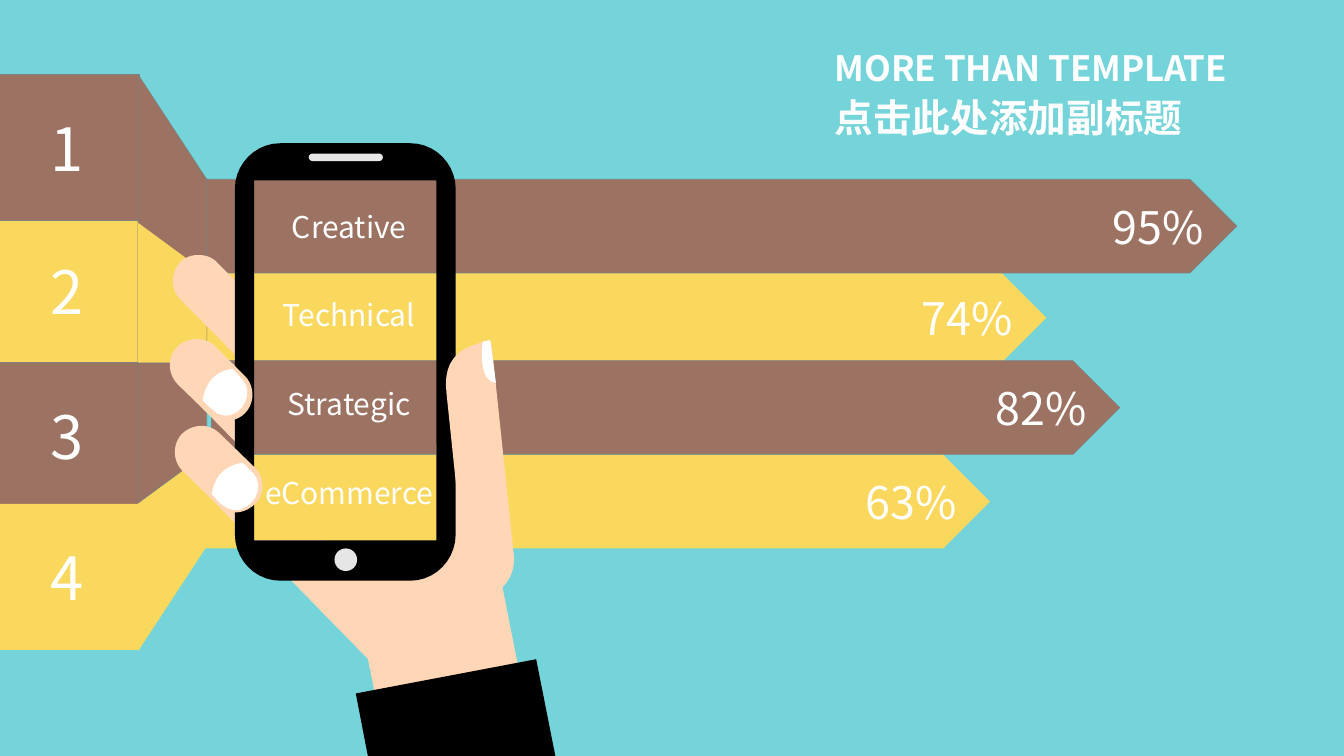
from typing import NamedTuple

from lxml.etree import SubElement
from pptx import Presentation
from pptx.dml.color import RGBColor
from pptx.enum.shapes import MSO_SHAPE
from pptx.enum.text import MSO_ANCHOR, MSO_AUTO_SIZE, PP_ALIGN
from pptx.oxml.ns import qn
from pptx.util import Cm, Pt

TEAL = RGBColor(0x74, 0xD4, 0xD9)
BROWN = RGBColor(0x9C, 0x72, 0x63)
YELLOW = RGBColor(0xFA, 0xD8, 0x5D)
GRAY = RGBColor(0x80, 0x80, 0x80)
SKIN = RGBColor(0xFF, 0xD7, 0xB7)
BLACK = RGBColor(0x00, 0x00, 0x00)
SILVER = RGBColor(0xE6, 0xE6, 0xE6)
WHITE = RGBColor(0xFF, 0xFF, 0xFF)
FONT = "Noto Sans CJK SC"
UNIT = 0.0254
CURVE_STEPS = 10


class Box(NamedTuple):
    left: float
    top: float
    width: float
    height: float

    def lengths(self):
        return [Cm(side) for side in self]


def paint(shape, color):
    shape.shadow.inherit = False
    shape.fill.solid()
    shape.fill.fore_color.rgb = color
    if color == BROWN:
        shape.line.color.rgb = GRAY
        shape.line.width = Pt(0.5)
    else:
        shape.line.fill.background()


def write(paragraph, words, size, align, spacing=None, bold=False):
    paragraph.alignment = align
    paragraph.line_spacing = spacing
    run = paragraph.add_run()
    run.text = words
    run.font.size = Pt(size)
    run.font.bold = bold
    run.font.name = FONT
    run.font.color.rgb = WHITE
    SubElement(run.font._element, qn("a:ea")).set("typeface", FONT)


def add_block(slide, kind, box, color, words=None, size=None, align=None):
    block = slide.shapes.add_shape(kind, *box.lengths())
    paint(block, color)
    if words:
        block.text_frame.vertical_anchor = MSO_ANCHOR.MIDDLE
        write(block.text_frame.paragraphs[0], words, size, align)


def trace(contour):
    points = [contour[0]]
    for step in contour[1:]:
        if len(step) == 2:
            points.append(step)
            continue
        start = points[-1]
        first, second, end = step[:2], step[2:4], step[4:]
        for index in range(1, CURVE_STEPS + 1):
            t = index / CURVE_STEPS
            s = 1 - t
            points.append(tuple(
                s**3 * a + 3 * s * s * t * b + 3 * s * t * t * c + t**3 * d
                for a, b, c, d in zip(start, first, second, end)))
    return [(Cm(x * UNIT), Cm(y * UNIT)) for x, y in points]


def add_outline(slide, box, color, *contours):
    traced = [trace(contour) for contour in contours]
    builder = slide.shapes.build_freeform(*traced[0][0], scale=1.0)
    builder.add_line_segments(traced[0][1:], close=True)
    for points in traced[1:]:
        builder.move_to(*points[0])
        builder.add_line_segments(points[1:], close=True)
    paint(builder.convert_to_shape(Cm(box.left), Cm(box.top)), color)


def add_title(slide, box):
    title = slide.shapes.title
    title.left, title.top, title.width, title.height = box.lengths()
    frame = title.text_frame
    frame.word_wrap = True
    frame.vertical_anchor = MSO_ANCHOR.MIDDLE
    frame.auto_size = MSO_AUTO_SIZE.SHAPE_TO_FIT_TEXT
    write(frame.paragraphs[0], "MORE THAN TEMPLATE", 24.9, PP_ALIGN.LEFT, 1.1, True)
    write(frame.add_paragraph(), "点击此处添加副标题", 27.6, PP_ALIGN.LEFT, 1.1, True)


def add_bars(slide, box):
    for share, indent, drop, width, color in (
        ("74%", 0, 2.31, 21.21, YELLOW),
        ("82%", 0.17, 4.57, 22.89, BROWN),
        ("63%", 0, 6.94, 19.79, YELLOW),
        ("95%", 0, 0, box.width, BROWN),
    ):
        bar = Box(box.left + indent, box.top + drop, width, 2.36)
        add_block(slide, MSO_SHAPE.PENTAGON, bar, color, share, 32, PP_ALIGN.RIGHT)


def add_skills(slide, box):
    for row, skill in enumerate(("Creative", "Technical", "Strategic", "eCommerce")):
        place = Box(box.left, box.top + row * box.height / 4, box.width, 1.04)
        frame = slide.shapes.add_textbox(*place.lengths()).text_frame
        frame.word_wrap = True
        frame.auto_size = MSO_AUTO_SIZE.SHAPE_TO_FIT_TEXT
        frame.margin_left = frame.margin_right = Cm(0)
        write(frame.paragraphs[0], skill, 21.4, PP_ALIGN.CENTER, 0.85)


def add_tabs(slide, box):
    for number, drop, color in (
        ("2", 3.61, YELLOW), ("1", 0, BROWN), ("3", 7.26, BROWN), ("4", 10.82, YELLOW),
    ):
        tab = Box(box.left, box.top + drop, box.width, 3.68)
        add_block(slide, MSO_SHAPE.RECTANGLE, tab, color, number, 42.6, PP_ALIGN.CENTER)


def add_funnel(slide, box):
    middle = box.height / 2 / UNIT
    right = box.width / UNIT
    for side, near, far, color in (
        (-1, 182, 286, BROWN), (-1, 89, 139, YELLOW),
        (1, 182, 286, YELLOW), (1, 89, 139, BROWN),
    ):
        add_outline(slide, box, color, [
            (right, middle + side * near), (0, middle + side * far),
            (0, middle), (right, middle)])


def add_palm(slide, box):
    add_outline(
        slide, box, SKIN,
        [(338, 544), (410, 544), (416, 550), (427, 560, 427, 576, 417, 586),
         (407, 597, 390, 597, 380, 586), (343, 549)],
        [(214, 356), (221, 356, 228, 358, 233, 363), (248, 379), (251, 382),
         (251, 456), (243, 448), (197, 401), (186, 390, 186, 374, 196, 363),
         (201, 358, 208, 356, 214, 356)])
    add_outline(slide, box, SKIN, [
        (469, 433), (522, 701), (380, 729), (358, 618), (302, 537),
        (432, 537), (433, 536), (433, 440)])
    add_outline(slide, box, SKIN, [
        (217, 439), (223, 439, 230, 442, 235, 447), (251, 463), (252, 464),
        (252, 536), (323, 536), (420, 633), (429, 644, 429, 660, 420, 671),
        (409, 680, 393, 681, 382, 671), (199, 484),
        (188, 473, 188, 457, 199, 447), (203, 442, 210, 439, 217, 439)])
    add_outline(slide, box, SKIN, [
        (197, 253), (204, 253, 210, 255, 215, 260), (252, 297), (252, 371),
        (250, 369), (179, 297), (169, 287, 169, 271, 179, 260),
        (184, 255, 190, 253, 197, 253)])


def add_phone(slide, box):
    add_outline(
        slide, box, BLACK,
        [(19, 37), (19, 394), (200, 394), (200, 37)],
        [(45, 0), (174, 0), (199, 0, 219, 21, 219, 45), (219, 388),
         (219, 413, 199, 434, 174, 434), (45, 434),
         (20, 434, 0, 413, 0, 388), (0, 45), (0, 21, 20, 0, 45, 0)])
    earpiece = Box(box.left + 1.86, box.top + 0.26, 1.87, 0.19)
    home_button = Box(box.left + 2.51, box.top + 10.21, 0.57, 0.57)
    add_block(slide, MSO_SHAPE.ROUNDED_RECTANGLE, earpiece, SILVER)
    slide.shapes[-1].adjustments[0] = 0.5
    add_block(slide, MSO_SHAPE.OVAL, home_button, SILVER)


def add_fingers(slide, box):
    for color, contour in (
        (SKIN, [(181, 430), (171, 440, 171, 457, 181, 467), (216, 501),
                (226, 511, 242, 511, 253, 500), (263, 491, 263, 474, 253, 464),
                (218, 430), (208, 420, 192, 420, 181, 430)]),
        (SKIN, [(176, 344), (166, 354, 166, 370, 176, 381), (206, 410),
                (216, 420, 233, 420, 243, 410), (253, 400, 253, 383, 243, 373),
                (213, 343), (203, 334, 186, 334, 176, 344)]),
        (BLACK, [(532, 654), (353, 688), (365, 750), (551, 750)]),
        (SKIN, [(483, 591), (465, 595), (462, 572), (443, 390),
                (439, 359, 455, 346, 474, 341), (484, 337, 487, 335, 488, 344),
                (510, 553), (511, 571, 499, 588, 483, 591)]),
        (WHITE, [(239, 375), (231, 366), (213, 368, 204, 380, 201, 397),
                 (209, 405), (231, 428, 258, 392, 239, 375)]),
        (WHITE, [(479, 339), (485, 338, 487, 335, 487, 342), (492, 380),
                 (477, 378, 477, 354, 479, 339)]),
        (WHITE, [(250, 468), (241, 459), (222, 462, 213, 473, 210, 490),
                 (218, 499), (241, 521, 269, 486, 250, 468)]),
    ):
        add_outline(slide, box, color, contour)


def main():
    deck = Presentation()
    deck.slide_width, deck.slide_height = Cm(33.87), Cm(19.05)
    slide = deck.slides.add_slide(deck.slide_layouts[5])
    slide.background.fill.solid()
    slide.background.fill.fore_color.rgb = TEAL
    scene = Box(0, 0, 33.87, 19.05)
    add_title(slide, Box(20.78, 0.94, 11.2, 2.72))
    add_bars(slide, Box(5.16, 4.52, 26.01, 9.3))
    add_skills(slide, Box(6.45, 5.26, 4.7, 8.95))
    add_tabs(slide, Box(-0.15, 1.88, 3.66, 14.5))
    add_funnel(slide, Box(3.48, 1.88, 1.73, 14.53))
    add_palm(slide, scene)
    add_phone(slide, Box(5.92, 3.61, 5.56, 11.02))
    add_fingers(slide, scene)
    deck.save("out.pptx")


if __name__ == "__main__":
    main()
